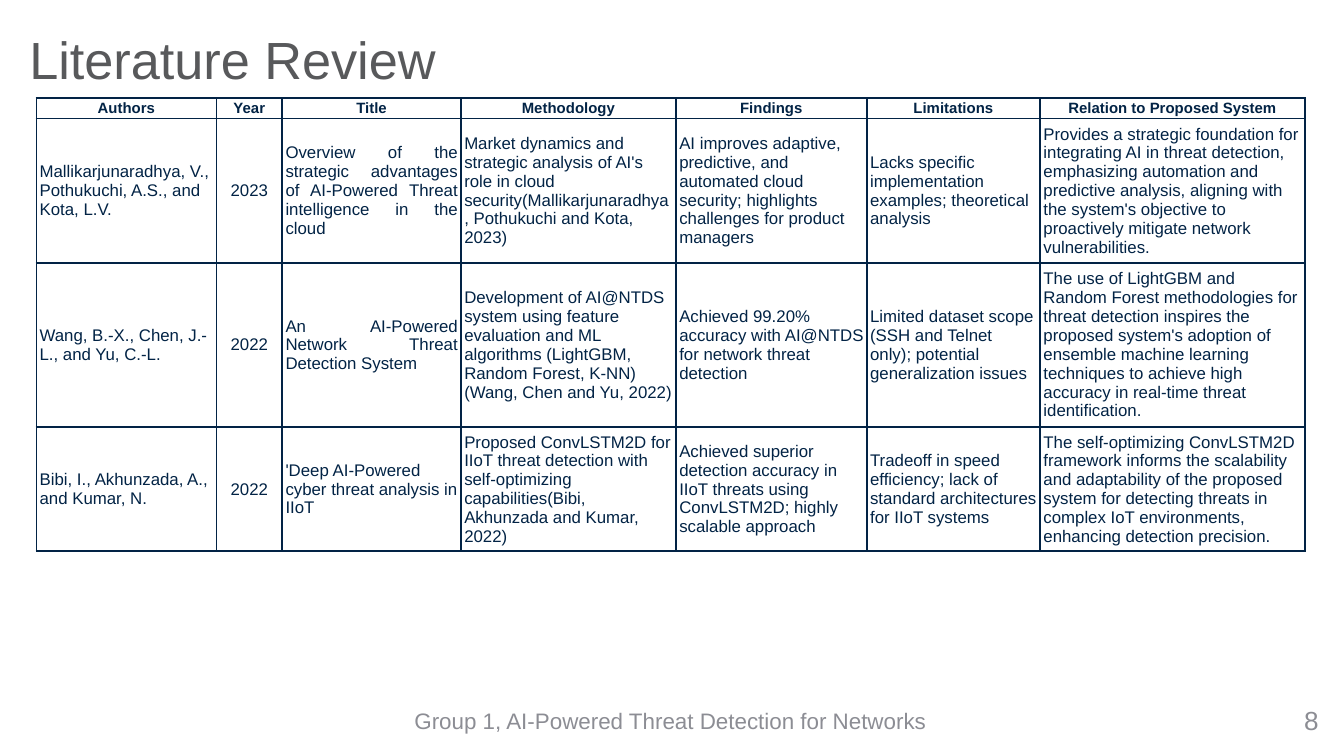
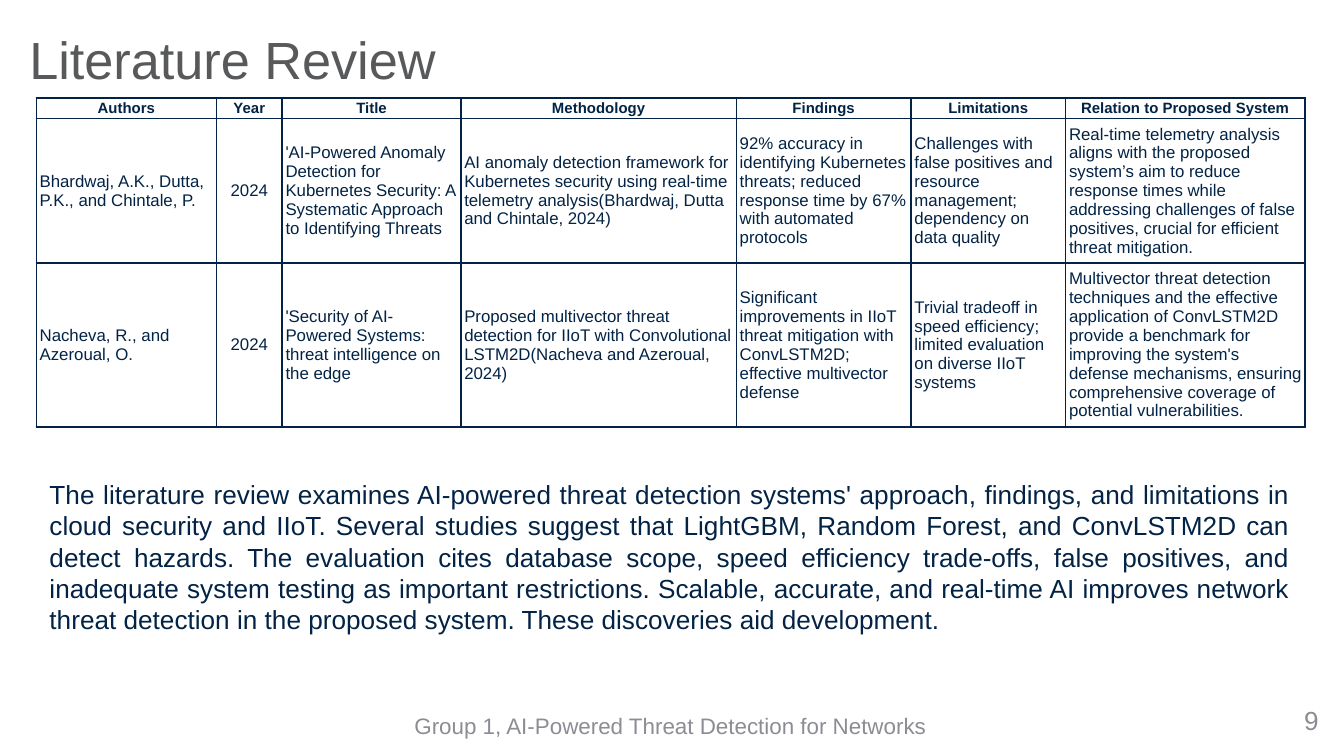
from dataclasses import dataclass

from lxml import etree
from pptx import Presentation
from pptx.dml.color import RGBColor
from pptx.enum import text as t
from pptx.oxml import ns
from pptx.util import Inches, Pt


@dataclass(frozen=True)
class Theme:
    font: str = "Arial"
    title: str = "58595B"
    ink: str = "022345"
    muted: str = "8C8D94"
    title_size: int = 28
    body_size: int = 14
    footer_size: int = 12
    head_size: int = 8
    cell_size: int = 9
    border: float = 1


TH = Theme()
LEFT, CENTER, RIGHT, JUSTIFY = (
    t.PP_ALIGN.LEFT, t.PP_ALIGN.CENTER, t.PP_ALIGN.RIGHT, t.PP_ALIGN.JUSTIFY)
SLIDE_W = 10
TITLE_BOX = (0.12, 0.14, 9, 0.59)
NUMBER_BOX = (7.58, 5.21, 2.33, 0.3)
FOOTER = "Group 1, AI-Powered Threat Detection for Networks"
CONTENT_LEFT, CONTENT_W, TABLE_TOP = 0.27, 9.43, 0.73
HEADERS = ["Authors", "Year", "Title", "Methodology", "Findings",
           "Limitations", "Relation to Proposed System"]
YEAR_COL, TITLE_COL = 1, 2

REVIEWS_1 = [
    ["Mallikarjunaradhya, V., Pothukuchi, A.S., and Kota, L.V.",
     "2023",
     "Overview of the strategic advantages of AI-Powered Threat intelligence "
     "in the cloud",
     "Market dynamics and strategic analysis of AI's role in cloud "
     "security(Mallikarjunaradhya, Pothukuchi and Kota, 2023)",
     "AI improves adaptive, predictive, and automated cloud security; "
     "highlights challenges for product managers",
     "Lacks specific implementation examples; theoretical analysis",
     "Provides a strategic foundation for integrating AI in threat detection, "
     "emphasizing automation and predictive analysis, aligning with the "
     "system's objective to proactively mitigate network vulnerabilities."],
    ["Wang, B.-X., Chen, J.-L., and Yu, C.-L.",
     "2022",
     "An AI-Powered Network Threat Detection System",
     "Development of AI@NTDS system using feature evaluation and ML algorithms "
     "(LightGBM, Random Forest, K-NN) (Wang, Chen and Yu, 2022)",
     "Achieved 99.20% accuracy with AI@NTDS for network threat detection",
     "Limited dataset scope (SSH and Telnet only); potential generalization "
     "issues",
     "The use of LightGBM and Random Forest methodologies for threat detection "
     "inspires the proposed system's adoption of ensemble machine learning "
     "techniques to achieve high accuracy in real-time threat identification."],
    ["Bibi, I., Akhunzada, A., and Kumar, N.",
     "2022",
     "'Deep AI-Powered cyber threat analysis in IIoT",
     "Proposed ConvLSTM2D for IIoT threat detection with self-optimizing "
     "capabilities(Bibi, Akhunzada and Kumar, 2022)",
     "Achieved superior detection accuracy in IIoT threats using ConvLSTM2D; "
     "highly scalable approach",
     "Tradeoff in speed efficiency; lack of standard architectures for IIoT "
     "systems",
     "The self-optimizing ConvLSTM2D framework informs the scalability and "
     "adaptability of the proposed system for detecting threats in complex IoT "
     "environments, enhancing detection precision."],
]
REVIEWS_2 = [
    ["Bhardwaj, A.K., Dutta, P.K., and Chintale, P.",
     "2024",
     "'AI-Powered Anomaly Detection for Kubernetes Security: A Systematic "
     "Approach to Identifying Threats",
     "AI anomaly detection framework for Kubernetes security using real-time "
     "telemetry analysis(Bhardwaj, Dutta and Chintale, 2024)",
     "92% accuracy in identifying Kubernetes threats; reduced response time by "
     "67% with automated protocols",
     "Challenges with false positives and resource management; dependency on "
     "data quality",
     "Real-time telemetry analysis aligns with the proposed system’s aim to "
     "reduce response times while addressing challenges of false positives, "
     "crucial for efficient threat mitigation."],
    ["Nacheva, R., and Azeroual, O.",
     "2024",
     "'Security of AI-Powered Systems: threat intelligence on the edge",
     "Proposed multivector threat detection for IIoT with Convolutional "
     "LSTM2D(Nacheva and Azeroual, 2024)",
     "Significant improvements in IIoT threat mitigation with ConvLSTM2D; "
     "effective multivector defense",
     "Trivial tradeoff in speed efficiency; limited evaluation on diverse IIoT "
     "systems",
     "Multivector threat detection techniques and the effective application of "
     "ConvLSTM2D provide a benchmark for improving the system's defense "
     "mechanisms, ensuring comprehensive coverage of potential "
     "vulnerabilities."],
]
SUMMARY = (
    "The literature review examines AI-powered threat detection systems' "
    "approach, findings, and limitations in cloud security and IIoT. Several "
    "studies suggest that LightGBM, Random Forest, and ConvLSTM2D can detect "
    "hazards. The evaluation cites database scope, speed efficiency trade-offs, "
    "false positives, and inadequate system testing as important restrictions. "
    "Scalable, accurate, and real-time AI improves network threat detection in "
    "the proposed system. These discoveries aid development.")


def add_run(p, words, size, color, align=LEFT, bold=False):
    p.alignment = align
    r = p.add_run()
    r.text = words
    r.font.name, r.font.size, r.font.bold = TH.font, Pt(size), bold
    r.font.color.rgb = RGBColor.from_string(color)


def add_text(s, box, words, size, color, align=LEFT,
             anchor=t.MSO_ANCHOR.MIDDLE):
    tf = s.shapes.add_textbox(*map(Inches, box)).text_frame
    tf.word_wrap = True
    tf.vertical_anchor = anchor
    add_run(tf.paragraphs[0], words, size, color, align)
    return tf


def add_borders(cell):
    tc_pr = cell._tc.get_or_add_tcPr()
    for side in "LRTB":
        ln = etree.SubElement(tc_pr, ns.qn(f"a:ln{side}"), w=str(Pt(TH.border)))
        fill = etree.SubElement(ln, ns.qn("a:solidFill"))
        etree.SubElement(fill, ns.qn("a:srgbClr"), val=TH.ink)


def fill_cell(cell, words, size, align, bold):
    cell.margin_left = cell.margin_right = Inches(0.05) // 2
    cell.margin_top = cell.margin_bottom = Inches(0.01)
    cell.vertical_anchor = t.MSO_ANCHOR.MIDDLE
    add_borders(cell)
    cell.fill.background()
    add_run(cell.text_frame.paragraphs[0], words, size, TH.ink, align, bold)


def review_table(s, box, reviews, widths, heights, justified=()):
    """Table of reviewed papers; justified lists rows with a justified title."""
    rows = [HEADERS] + reviews
    frame = s.shapes.add_table(len(rows), len(HEADERS), *map(Inches, box))
    tbl = frame.table
    tbl.first_row = tbl.horz_banding = False
    for col, w in zip(tbl.columns, widths):
        col.width = Inches(w)
    for row, h in zip(tbl.rows, heights):
        row.height = Inches(h)
    # Rows hold minimum heights; the frame keeps the full height
    frame.width, frame.height = map(Inches, box[2:])
    for i, row in enumerate(rows):
        head = i == 0
        for j, words in enumerate(row):
            align = LEFT
            if head or j == YEAR_COL:
                align = CENTER
            elif j == TITLE_COL and i in justified:
                align = JUSTIFY
            fill_cell(tbl.cell(i, j), words,
                      TH.head_size if head else TH.cell_size, align, head)


def summary(s, box):
    tf = add_text(s, box, SUMMARY, TH.body_size, TH.ink, JUSTIFY,
                  t.MSO_ANCHOR.TOP)
    tf.auto_size = t.MSO_AUTO_SIZE.SHAPE_TO_FIT_TEXT


def review_slide(prs, number, footer_top):
    """Blank slide with the shared title, page number and footer."""
    s = prs.slides.add_slide(prs.slide_layouts[6])
    add_text(s, TITLE_BOX, "Literature Review", TH.title_size, TH.title)
    add_text(s, NUMBER_BOX, str(number), TH.body_size, TH.muted, RIGHT)
    add_text(s, (1.82, footer_top, 6.34, 0.3), FOOTER, TH.footer_size,
             TH.muted, CENTER)
    return s


def main():
    prs = Presentation()
    prs.slide_width, prs.slide_height = Inches(SLIDE_W), Inches(SLIDE_W * 9 / 16)

    # First three papers
    s = review_slide(prs, 8, 5.21)
    review_table(s, (CONTENT_LEFT, TABLE_TOP, CONTENT_W, 3.38), REVIEWS_1,
                 [1.34, 0.49, 1.33, 1.6, 1.42, 1.29, 1.97],
                 [0.15] + [0.82] * 3, justified=(1, 2))

    # Last two papers and the summary
    s = review_slide(prs, 9, 5.25)
    review_table(s, (CONTENT_LEFT, TABLE_TOP, CONTENT_W, 2.46), REVIEWS_2,
                 [1.34, 0.49, 1.33, 2.05, 1.3, 1.15, 1.78],
                 [0.15, 0.46, 0.66])
    summary(s, (CONTENT_LEFT, 3.51, CONTENT_W, 1.28))

    prs.save("out.pptx")


if __name__ == "__main__":
    main()
